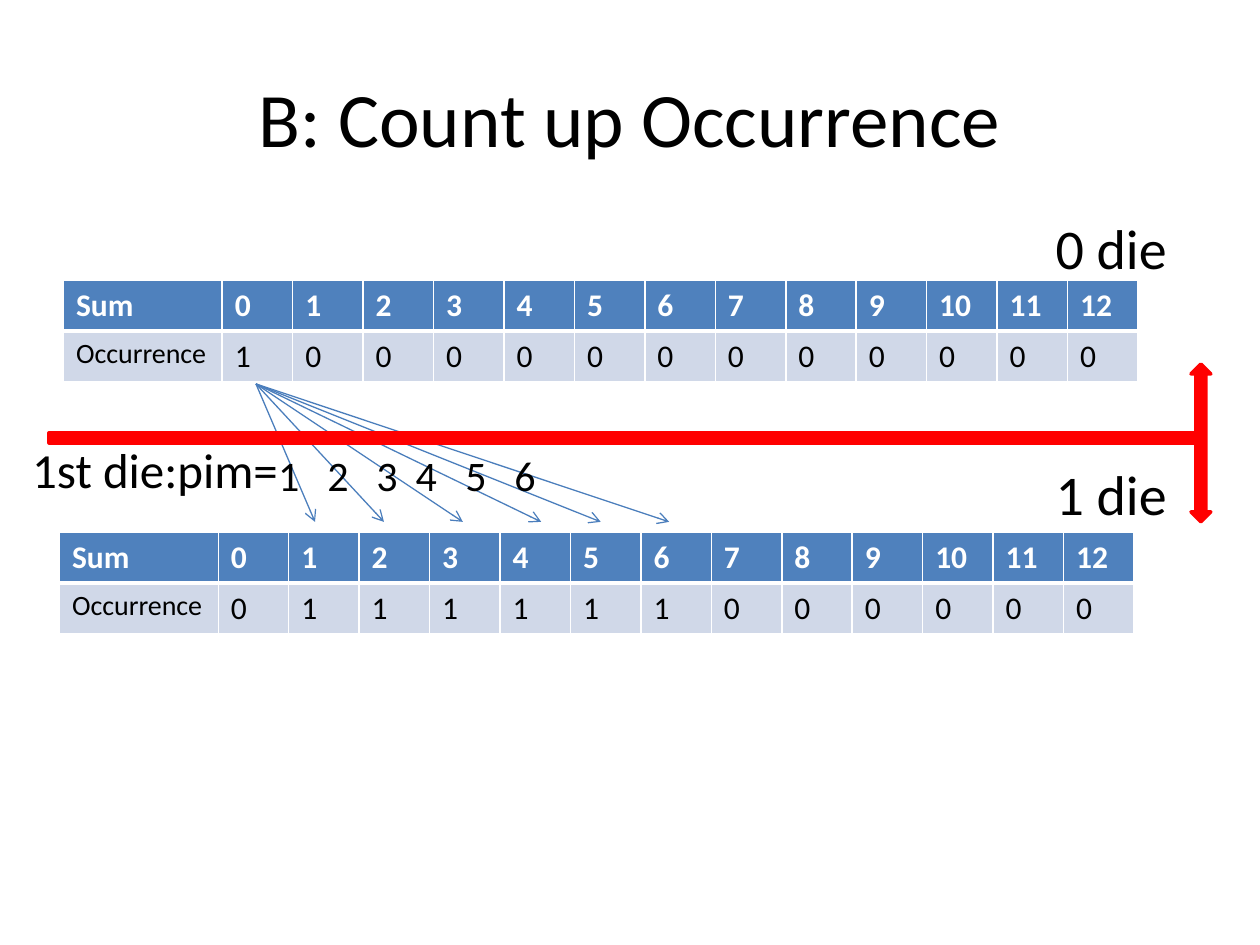
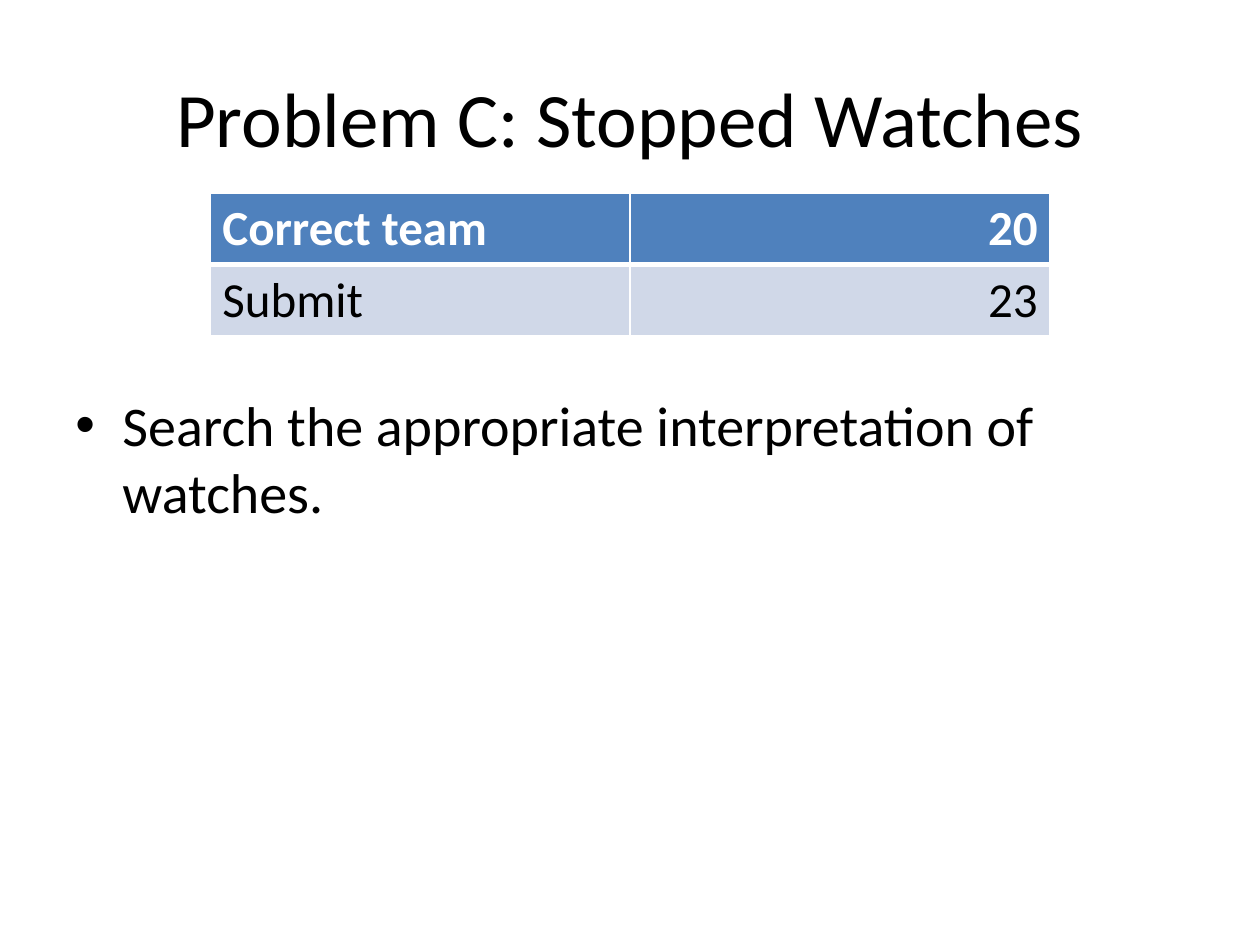
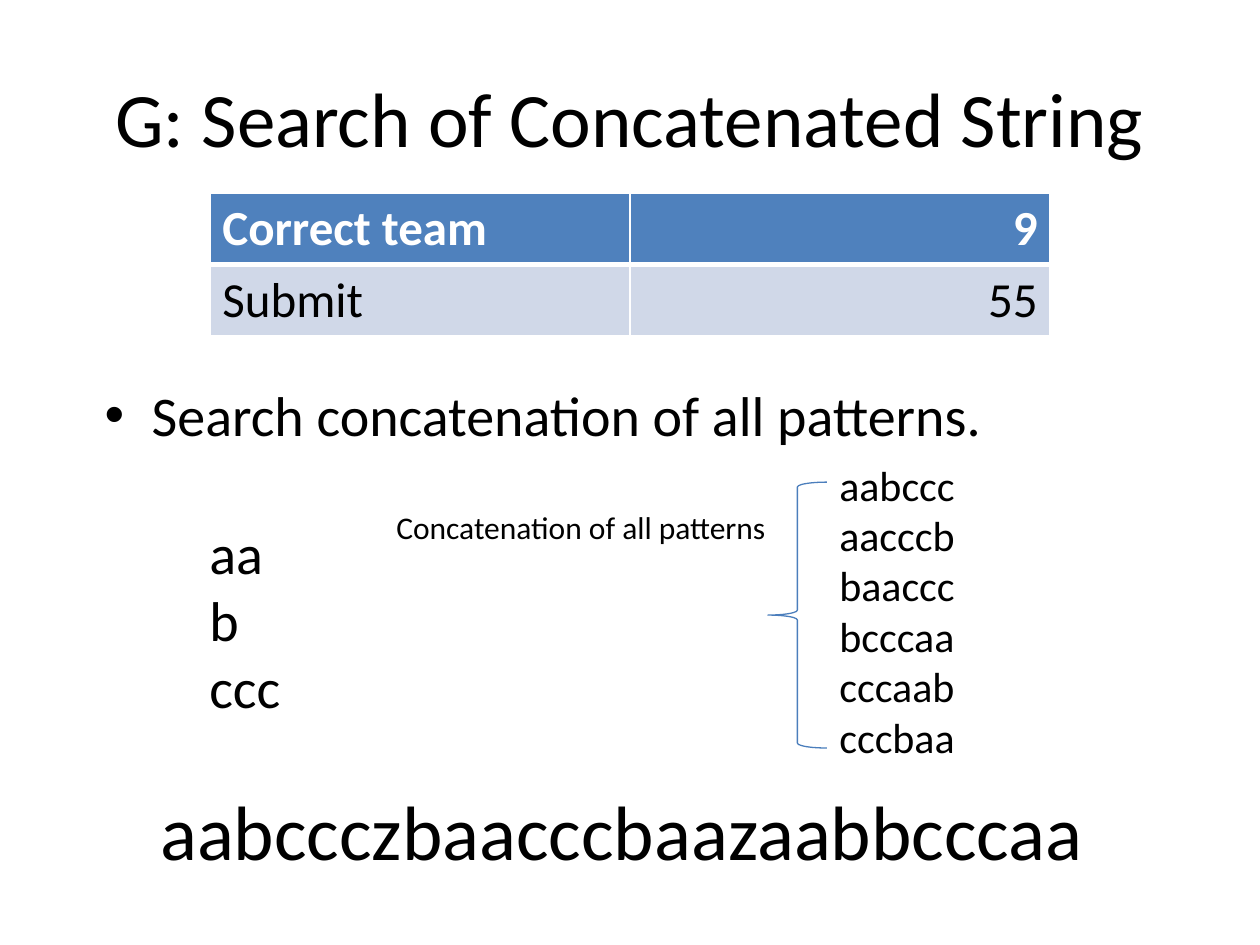
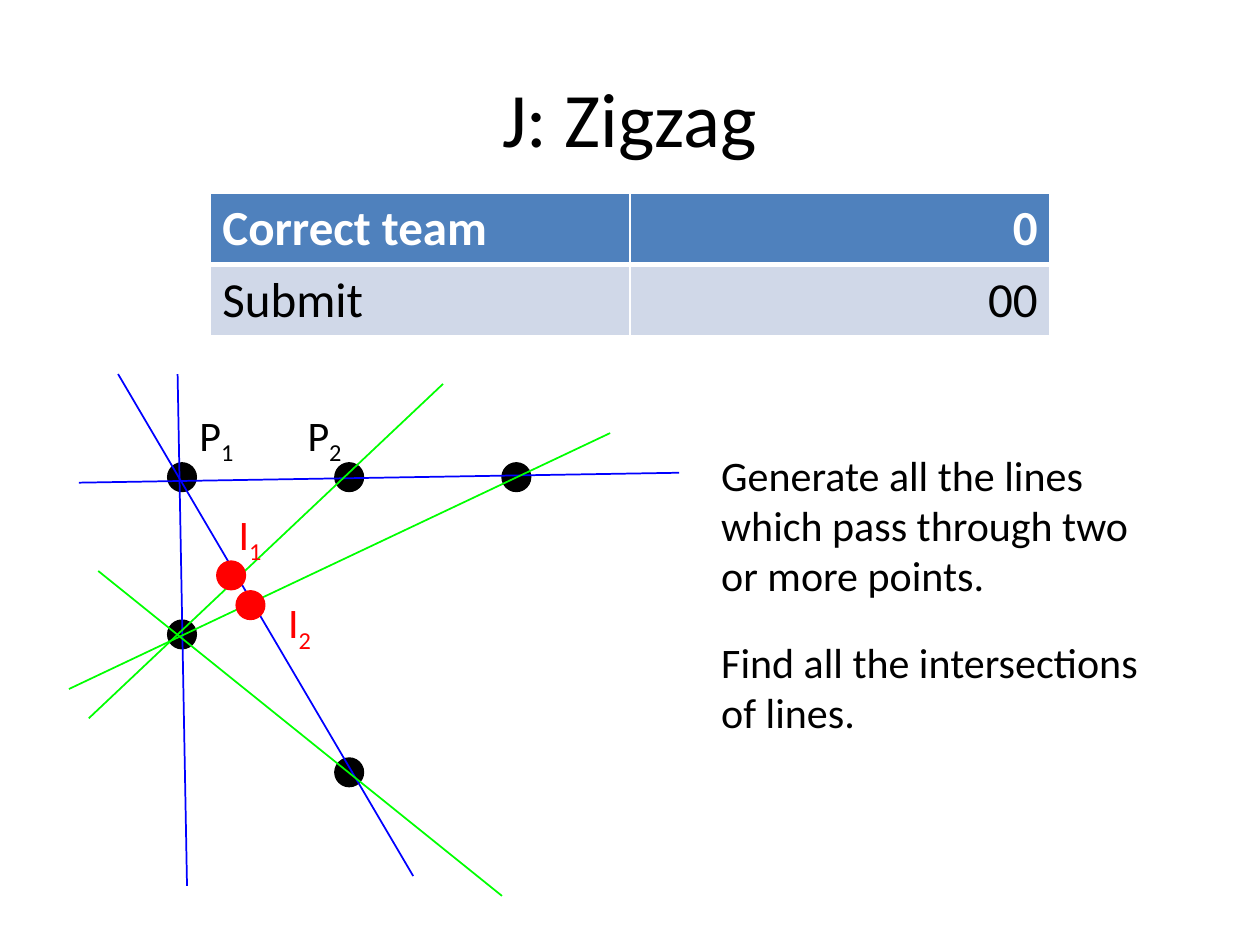
from lxml import etree
from pptx import Presentation
from pptx import util as u
from pptx.dml.color import RGBColor
from pptx.enum import shapes, text
from pptx.oxml import ns

# Shared look
FONT = "Calibri"
BLACK = RGBColor(0x00, 0x00, 0x00)
WHITE = RGBColor(0xFF, 0xFF, 0xFF)
RED = RGBColor(0xFF, 0x00, 0x00)
BLUE = RGBColor(0x00, 0x00, 0xFF)
GREEN = RGBColor(0x00, 0xFF, 0x00)
STEEL = RGBColor(0x4B, 0x7E, 0xBC)
HEAD = RGBColor(0x4F, 0x81, 0xBD)
BAND = RGBColor(0xD0, 0xD8, 0xE8)
DOT = 0.58


def sub(node, tag, **attrs):
    return etree.SubElement(node, ns.qn(tag), attrs)


# Text
def add_run(para, words, size, color=BLACK, bold=False):
    run = para.add_run()
    run.text = words
    font = run.font
    font.name, font.size, font.bold = FONT, u.Pt(size), bold
    font.color.rgb = color
    return run


def add_text(slide, lines, x, y, w, h, size, wrap=True, grow=True):
    """Place one paragraph per line and return the text frame."""
    box = slide.shapes.add_textbox(u.Cm(x), u.Cm(y), u.Cm(w), u.Cm(h))
    frame = box.text_frame
    frame.word_wrap = wrap
    if grow:
        frame.auto_size = text.MSO_AUTO_SIZE.SHAPE_TO_FIT_TEXT
    for i, line in enumerate(lines):
        para = frame.add_paragraph() if i else frame.paragraphs[0]
        add_run(para, line, size)
    return frame


def add_title(slide, words):
    frame = add_text(slide, [words], 1.27, 0.76, 22.86, 3.18, 44, grow=False)
    frame.vertical_anchor = text.MSO_ANCHOR.MIDDLE
    frame.paragraphs[0].alignment = text.PP_ALIGN.CENTER


def add_bullet(slide, words, x, y, w, h):
    frame = add_text(slide, [words], x, y, w, h, 32, grow=False)
    props = frame.paragraphs[0]._p.get_or_add_pPr()
    props.set("marL", str(u.Cm(0.95)))
    props.set("indent", str(-u.Cm(0.95)))
    sub(props, "a:buFont", typeface="Arial")
    sub(props, "a:buChar", char="•")


def add_name(slide, letter, index, x, y, w, color=BLACK):
    """Label a point with a letter and a subscript."""
    frame = add_text(slide, [], x, y, w, 1.27, 24, wrap=False)
    para = frame.paragraphs[0]
    add_run(para, letter, 24, color)
    low = add_run(para, index, 24, color)
    low.font._element.set("baseline", "-25000")


# Tables
def add_edges(cell, head):
    props = cell._tc.get_or_add_tcPr()
    for side in "LRTB":
        # The rule between header and body is thicker
        thick = 3 if head and side == "B" or not head and side == "T" else 1
        edge = sub(props, f"a:ln{side}", w=str(u.Pt(thick)))
        sub(sub(edge, "a:solidFill"), "a:srgbClr", val=str(WHITE))


def add_grid(slide, rows, x, y, widths, high, size, lead=None, right=False):
    """Draw a header row and a body row; lead is the size of the body label."""
    grid = slide.shapes.add_table(
        len(rows), len(widths), u.Cm(x), u.Cm(y),
        u.Cm(sum(widths)), u.Cm(high * len(rows))).table
    for col, width in zip(grid.columns, widths):
        col.width = u.Cm(width)
    for r, row in enumerate(rows):
        head = r == 0
        for c, value in enumerate(row):
            cell = grid.cell(r, c)
            add_edges(cell, head)
            cell.fill.solid()
            cell.fill.fore_color.rgb = HEAD if head else BAND
            para = cell.text_frame.paragraphs[0]
            if right and c:
                para.alignment = text.PP_ALIGN.RIGHT
            small = lead and c == 0 and not head
            add_run(para, str(value), lead if small else size,
                    WHITE if head else BLACK, head)


def add_counts(slide, counts, x, y):
    rows = [["Sum", *range(13)], ["Occurrence", *counts]]
    add_grid(slide, rows, x, y, [3.2] + [1.42] * 13, 1.03, 18, lead=16)


def add_stats(slide, right, sent):
    rows = [["Correct team", right], ["Submit", sent]]
    add_grid(slide, rows, 4.23, 3.89, [8.47] * 2, 1.44, 28, right=True)


# Lines and shapes
def add_line(slide, start, end, color, width, arrow=False):
    ends = [u.Cm(v) for v in (*start, *end)]
    line = slide.shapes.add_connector(shapes.MSO_CONNECTOR.STRAIGHT, *ends)
    line.line.color.rgb = color
    line.line.width = u.Pt(width)
    props = line.element.spPr
    if arrow:
        sub(props.find(ns.qn("a:ln")), "a:tailEnd", type="arrow")
    sub(props, "a:effectLst")


def add_form(slide, kind, x, y, w, h, line, width, fill=None):
    form = slide.shapes.add_shape(kind, u.Cm(x), u.Cm(y), u.Cm(w), u.Cm(h))
    form.shadow.inherit = False
    form.line.color.rgb = line
    form.line.width = u.Pt(width)
    if fill is None:
        form.fill.background()
    else:
        form.fill.solid()
        form.fill.fore_color.rgb = fill


def add_dots(slide, spots, color):
    for x, y in spots:
        add_form(slide, shapes.MSO_SHAPE.OVAL, x, y, DOT, DOT,
                 color, 0.75, color)


# Slides
def show_dice(slide):
    add_title(slide, "B: Count up Occurrence")
    add_counts(slide, [1] + [0] * 12, 1.28, 5.64)
    add_counts(slide, [0] + [1] * 6 + [0] * 6, 1.2, 10.72)

    # One arrow and one number for each face of the die
    for tip in (6.35, 7.74, 9.33, 10.91, 12.11, 13.49):
        add_line(slide, (5.16, 7.74), (tip, 10.52), STEEL, 0.75, arrow=True)
    add_text(slide, ["1st die:pim="], 0.4, 8.73, 5.56, 1.45, 28)
    for face, x in enumerate((5.36, 6.35, 7.34, 8.13, 9.13, 10.12), 1):
        add_text(slide, [str(face)], x, 8.93, 0.94, 1.27, 24, wrap=face == 1)

    # Step from no die to one die
    add_text(slide, ["0 die"], 21.03, 4.17, 2.98, 1.63, 32)
    add_form(slide, shapes.MSO_SHAPE.RECTANGLE, 0.99, 8.73, 23.22, 0.2,
             RED, 2, RED)
    add_text(slide, ["1 die"], 21.03, 9.13, 3.58, 1.63, 32)
    add_form(slide, shapes.MSO_SHAPE.UP_DOWN_ARROW, 24.01, 7.34, 0.4, 3.18,
             RED, 2, RED)


def show_watches(slide):
    add_title(slide, "Problem C: Stopped Watches")
    add_bullet(slide, "Search the appropriate interpretation of watches.",
               1.27, 7.74, 22.86, 5.95)
    add_stats(slide, "20", "23")


def show_strings(slide):
    add_title(slide, "G: Search of Concatenated String")
    add_bullet(slide, "Search concatenation of all patterns.",
               1.86, 7.54, 23.54, 2.58)
    add_stats(slide, "9", "55")
    add_text(slide, ["aa", "b", "ccc"], 3.97, 10.32, 1.95, 4.36, 32,
             wrap=False)
    add_text(slide, ["aabccczbaacccbaazaabbcccaa"], 2.98, 15.68, 19.32, 2.14,
             44, wrap=False)
    add_form(slide, shapes.MSO_SHAPE.LEFT_BRACE, 15.48, 9.72, 1.19, 5.36,
             STEEL, 0.75)
    add_text(slide, ["Concatenation of all patterns"], 7.74, 10.12, 8.06,
             1.03, 18, wrap=False)
    joins = ["aabccc", "aacccb", "baaccc", "bcccaa", "cccaab", "cccbaa"]
    add_text(slide, joins, 16.67, 9.13, 3.04, 6.41, 24, wrap=False)


def show_zigzag(slide):
    add_title(slide, "J: Zigzag")
    add_stats(slide, "0", "00")

    # Given points and the lines through them
    add_dots(slide, [(3.38, 9.33), (6.75, 9.33), (3.38, 12.5),
                     (10.12, 9.33), (6.75, 15.28)], BLACK)
    for start, end, color in (
            ((3.58, 7.54), (3.77, 17.86), BLUE),
            ((8.33, 17.66), (2.38, 7.54), BLUE),
            ((1.59, 9.73), (13.69, 9.53), BLUE),
            ((1.79, 14.48), (8.93, 7.74), GREEN),
            ((1.39, 13.89), (12.3, 8.73), GREEN),
            ((1.98, 11.51), (10.12, 18.06), GREEN)):
        add_line(slide, start, end, color, 1)

    # Method
    add_text(slide,
             ["Generate all the lines which pass through two or more points."],
             14.29, 8.93, 9.33, 3.33, 24)
    add_text(slide, ["Find all the intersections of lines."],
             14.29, 12.7, 9.33, 2.31, 24)

    # Crossings and names
    add_dots(slide, [(4.76, 11.91), (4.37, 11.31)], RED)
    add_name(slide, "P", "1", 3.77, 8.13, 1.24)
    add_name(slide, "P", "2", 5.95, 8.13, 1.24)
    add_name(slide, "I", "1", 4.56, 10.12, 1.02, RED)
    add_name(slide, "I", "2", 5.56, 11.91, 1.02, RED)


def main():
    deck = Presentation()
    deck.slide_width, deck.slide_height = u.Cm(25.4), u.Cm(19.05)
    blank = deck.slide_layouts[6]
    for show in (show_dice, show_watches, show_strings, show_zigzag):
        show(deck.slides.add_slide(blank))
    deck.save("out.pptx")


if __name__ == "__main__":
    main()
